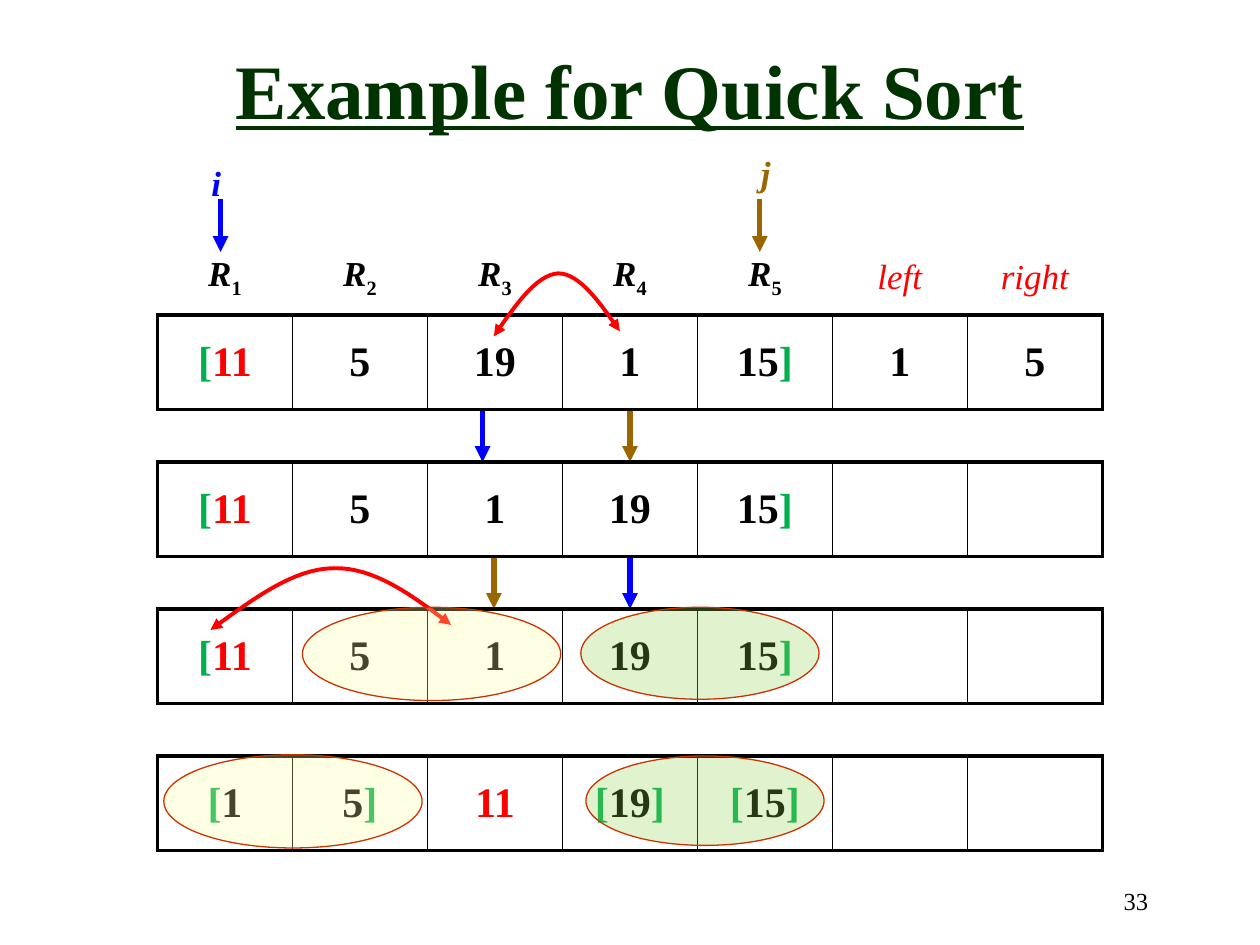
from itertools import groupby

from lxml import etree
from pptx import Presentation
from pptx.dml.color import RGBColor
from pptx.enum.shapes import MSO_CONNECTOR, MSO_SHAPE
from pptx.enum.text import MSO_ANCHOR, PP_ALIGN
from pptx.oxml.ns import qn
from pptx.util import Inches, Pt

LEFT, CENTER, RIGHT = PP_ALIGN.LEFT, PP_ALIGN.CENTER, PP_ALIGN.RIGHT
MIDDLE = MSO_ANCHOR.MIDDLE
STRAIGHT = MSO_CONNECTOR.STRAIGHT
OVAL = MSO_SHAPE.OVAL

COLORS = {
    "black": "000000", "title": "003300", "blue": "0000FF", "brown": "996600",
    "red": "FF0000", "green": "00B050", "yellow": "FFFF99", "lime": "92D050",
    "rim": "CC3300",
}
FONT = "Times New Roman"
GRID_X, GRID_W, ROW_H = 1.25, 7.5, 0.75
ROW_Y, STEP = 2.5, 3.5 / 3
THICK, THIN = 2.25, 1


def color(name):
    return RGBColor.from_string(COLORS[name])


def bezier(start, one, two, end, count=16):
    for n in range(1, count + 1):
        t = n / count
        u = 1 - t
        yield tuple(
            u**3 * a + 3 * u * u * t * b + 3 * u * t * t * c + t**3 * d
            for a, b, c, d in zip(start, one, two, end)
        )


class Board:
    def __init__(self, slide):
        self.slide = slide
        self.shapes = slide.shapes

    def style(self, run, size, tint, bold=True, italic=False):
        font = run.font
        font.name, font.size = FONT, Pt(size)
        font.bold, font.italic = bold, italic
        font.color.rgb = color(tint)

    def title(self, text):
        box = self.shapes.title
        box.left, box.top = Inches(0.04), Inches(0.08)
        box.width, box.height = Inches(9.92), Inches(1.25)
        frame = box.text_frame
        frame.text = text
        frame.vertical_anchor = MIDDLE
        para = frame.paragraphs[0]
        para.alignment = CENTER
        self.style(para.runs[0], 44, "title")
        para.runs[0].font.underline = True

    def text(self, text, x, y, w, h, size, tint, align=LEFT, strong=True):
        box = self.shapes.add_textbox(Inches(x), Inches(y), Inches(w), Inches(h))
        frame = box.text_frame
        frame.word_wrap = True
        frame.text = text
        para = frame.paragraphs[0]
        para.alignment = align
        self.style(para.runs[0], size, tint, strong, strong)

    def heads(self, line, *ends):
        for end in ends:
            etree.SubElement(line.line._get_or_add_ln(), qn("a:" + end), type="triangle")

    def arrow(self, x, top, end, tint):
        line = self.shapes.add_connector(
            STRAIGHT, Inches(x), Inches(top), Inches(x), Inches(end)
        )
        line.line.color.rgb = color(tint)
        line.line.width = Pt(3)
        self.heads(line, "tailEnd")
        etree.SubElement(line._element.spPr, qn("a:effectLst"))

    def curve(self, start, *parts):
        points, last = [start], start
        for part in parts:
            points += bezier(last, *part)
            last = part[-1]
        points = [(Inches(x), Inches(y)) for x, y in points]
        pen = self.shapes.build_freeform(*points[0])
        pen.add_line_segments(points[1:], close=False)
        shape = pen.convert_to_shape()
        shape.shadow.inherit = False
        shape.fill.background()
        shape.line.color.rgb = color("red")
        shape.line.width = Pt(2.25)
        self.heads(shape, "headEnd", "tailEnd")

    def oval(self, x, y, w, h, tint):
        shape = self.shapes.add_shape(OVAL, Inches(x), Inches(y), Inches(w), Inches(h))
        shape.shadow.inherit = False
        shape.fill.solid()
        shape.fill.fore_color.rgb = color(tint)
        shade = shape._element.spPr.find(".//" + qn("a:srgbClr"))
        etree.SubElement(shade, qn("a:alpha"), val="27000")
        shape.line.color.rgb = color("rim")
        shape.line.width = Pt(0.75)

    def border(self, cell, widths):
        props = cell._tc.get_or_add_tcPr()
        for side, width in zip("LRTB", widths):
            edge = etree.SubElement(props, qn("a:ln" + side), w=str(Pt(width)))
            if width:
                fill = etree.SubElement(edge, qn("a:solidFill"))
                etree.SubElement(fill, qn("a:srgbClr"), val=COLORS["black"])
            else:
                etree.SubElement(edge, qn("a:noFill"))

    def row(self, y, cells, write, ruled=True):
        count = len(cells)
        table = self.shapes.add_table(
            1, count, Inches(GRID_X), Inches(y), Inches(GRID_W), Inches(ROW_H)
        ).table
        table.first_row = table.horz_banding = False
        for n, text in enumerate(cells):
            cell = table.cell(0, n)
            first, last = n == 0, n == count - 1
            widths = (THICK if first else THIN, THICK if last else THIN, THICK, THICK)
            self.border(cell, widths if ruled else (0, 0, 0, 0))
            cell.fill.background()
            cell.vertical_anchor = MIDDLE
            para = cell.text_frame.paragraphs[0]
            para.alignment = CENTER
            write(para, text)

    def value(self, para, text):
        for mark, chars in groupby(text, lambda char: char in "[]"):
            run = para.add_run()
            run.text = "".join(chars)
            tint = "green" if mark else "red" if run.text == "11" else "black"
            self.style(run, 24, tint)

    def label(self, para, text):
        key = text[-1].isdigit()
        for digit, chars in groupby(text, str.isdigit):
            run = para.add_run()
            run.text = "".join(chars)
            self.style(run, 20, "black" if key else "red", key, not digit)
            if digit:
                run.font._element.set("baseline", "-25000")


def main():
    deck = Presentation()
    deck.slide_width, deck.slide_height = Inches(10), Inches(7.5)
    board = Board(deck.slides.add_slide(deck.slide_layouts[5]))
    board.title("Example for Quick Sort")
    board.text("33", 7.13, 6.98, 2.08, 0.5, 14, "black", RIGHT, False)
    board.text("i", 1.58, 1.23, 0.42, 0.43, 20, "blue")
    board.text("j", 5.94, 1.15, 0.42, 0.43, 20, "brown")

    tops = [ROW_Y + n * STEP for n in range(4)]
    board.arrow(1.75, 1.58, 2, "blue")
    board.arrow(6.03, 1.58, 2, "brown")
    for n, left, right in ((1, 3.83, 5), (2, 5, 3.92)):
        board.arrow(left, tops[n - 1] + ROW_H, tops[n], "blue")
        board.arrow(right, tops[n - 1] + ROW_H, tops[n], "brown")

    names = [f"R{n}" for n in range(1, 6)] + ["left", "right"]
    board.row(1.83, names, board.label, ruled=False)
    steps = (
        ("[11", "5", "19", "1", "15]", "1", "5"),
        ("[11", "5", "1", "19", "15]", "", ""),
        ("[11", "5", "1", "19", "15]", "", ""),
        ("[1", "5]", "11", "[19]", "[15]", "", ""),
    )
    for top, cells in zip(tops, steps):
        board.row(top, cells, board.value)

    board.curve((3.92, 2.67), ((4.09, 2.42), (4.26, 2.18), (4.43, 2.17)),
                ((4.6, 2.17), (4.76, 2.4), (4.92, 2.63)))
    board.curve((1.67, 5), ((2, 4.76), (2.33, 4.51), (2.65, 4.51)),
                ((2.97, 4.5), (3.28, 4.73), (3.58, 4.96)))

    board.oval(2.4, 4.82, 2.05, 0.74, "yellow")
    board.oval(4.61, 4.82, 1.89, 0.73, "lime")
    board.oval(1.3, 5.99, 2.05, 0.74, "yellow")
    board.oval(4.65, 6, 1.89, 0.71, "lime")
    deck.save("out.pptx")


if __name__ == "__main__":
    main()
